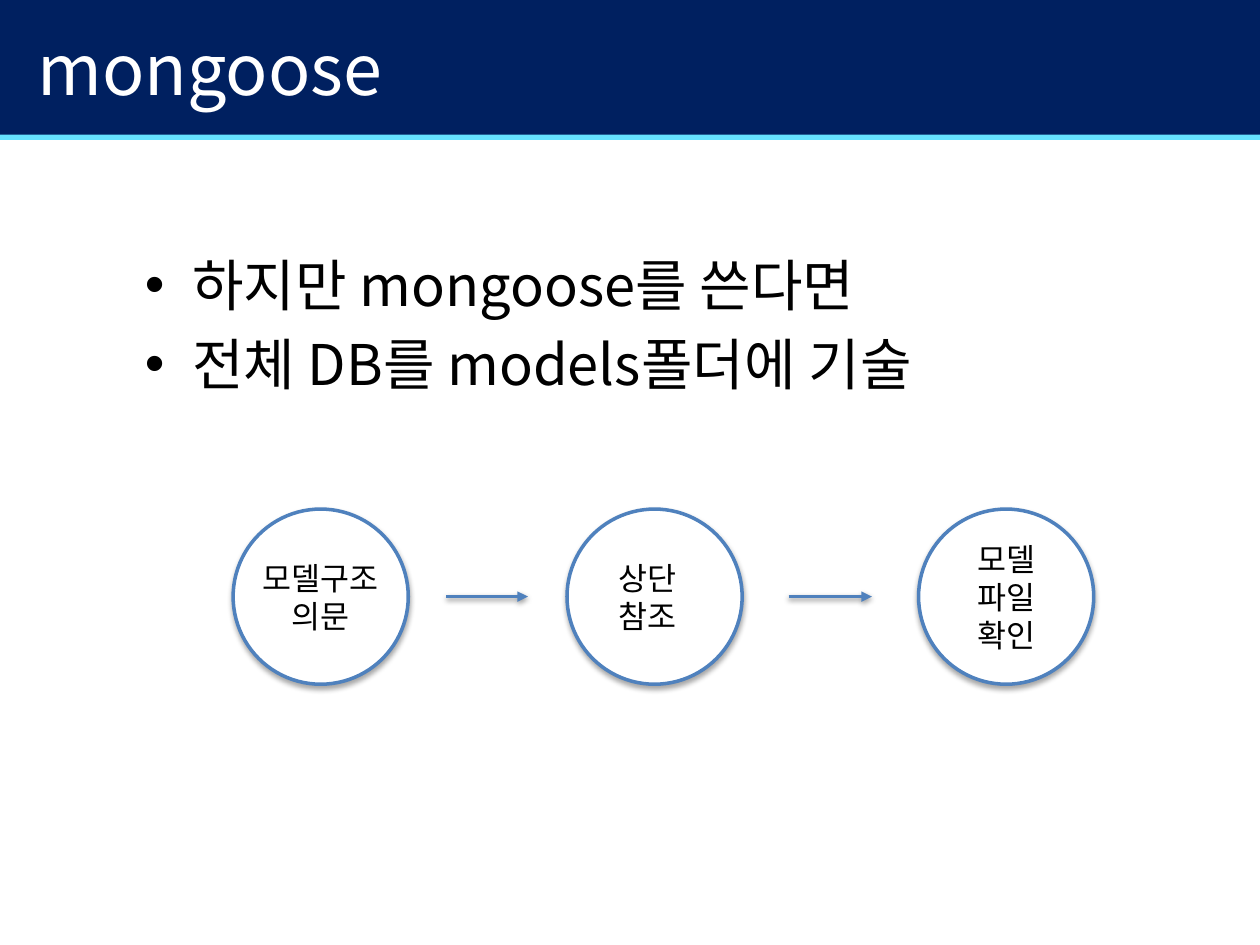
from dataclasses import dataclass

from lxml.etree import SubElement
from pptx import Presentation
from pptx.dml.color import RGBColor
from pptx.enum.shapes import MSO_CONNECTOR as Connector, MSO_SHAPE as Shape
from pptx.enum.text import MSO_ANCHOR as Anchor, MSO_AUTO_SIZE as AutoSize, PP_ALIGN as Align
from pptx.oxml.ns import qn
from pptx.util import Inches, Pt

FONT = "Noto Sans CJK KR"
NAVY, CYAN, BLUE, WHITE, BLACK = "002060", "65E2FF", "4F81BD", "FFFFFF", "000000"
COLUMNS, ROWS = 10, 7.5
WIDTH, HEIGHT = Inches(10), Inches(7.5)
DIAMETER, CIRCLE_TOP = 1.39, 4.04
MIDDLE = CIRCLE_TOP + DIAMETER / 2
INSET = 0.05


@dataclass(frozen=True)
class Box:
    column: float
    row: float
    columns: float
    rows: float

    def lengths(self) -> tuple[int, int, int, int]:
        return (across(self.column), down(self.row),
                across(self.columns), down(self.rows))


@dataclass(frozen=True)
class Band:
    box: Box
    colour: str


@dataclass(frozen=True)
class Label:
    box: Box
    lines: tuple[str, ...]
    align: Align


@dataclass(frozen=True)
class Arrow:
    start: float
    end: float


BANDS = (
    Band(Box(-0.01, 1.06, 10.01, 0.05), CYAN),
    Band(Box(-0.01, 0, 10.01, 1.07), NAVY),
)
CIRCLE_COLUMNS = (1.85, 4.5, 7.29)
LABELS = (
    Label(Box(2.02, 4.39, 1.05, 0.68), ("모델구조", "의문"), Align.CENTER),
    Label(Box(4.86, 4.39, 0.62, 0.68), ("상단", "참조"), Align.LEFT),
)
ARROWS = (Arrow(3.54, 4.19), Arrow(6.26, 6.92))


def across(columns: float) -> int:
    return round(WIDTH * columns / COLUMNS)


def down(rows: float) -> int:
    return round(HEIGHT * rows / ROWS)


def rgb(colour: str) -> RGBColor:
    return RGBColor.from_string(colour)


def place(shape, box: Box) -> None:
    shape.left, shape.top, shape.width, shape.height = box.lengths()


def write(frame, lines: tuple[str, ...], *, size: float, colour: str = BLACK,
          align: Align = Align.LEFT, anchor: Anchor = Anchor.TOP,
          wrap: bool = True, inset: float | None = None,
          auto_size: AutoSize = AutoSize.NONE) -> None:
    frame.auto_size = auto_size
    frame.word_wrap = wrap
    frame.vertical_anchor = anchor
    if inset is not None:
        frame.margin_left = frame.margin_right = Inches(inset)
        frame.margin_top = frame.margin_bottom = Inches(inset)
    for index, line in enumerate(lines):
        paragraph = frame.add_paragraph() if index else frame.paragraphs[0]
        paragraph.alignment = align
        run = paragraph.add_run()
        run.text = line
        run.font.size = Pt(size)
        run.font.name = FONT
        run.font.color.rgb = rgb(colour)
        SubElement(run.font._element, qn("a:ea"), typeface=FONT)


def add_shadow(shape, distance: float, opacity: int) -> None:
    effects = SubElement(shape._element.spPr, qn("a:effectLst"))
    shadow = SubElement(effects, qn("a:outerShdw"), blurRad=str(Pt(3)),
                        dist=str(Pt(distance)), dir="5400000", rotWithShape="0")
    tint = SubElement(shadow, qn("a:srgbClr"), val=BLACK)
    SubElement(tint, qn("a:alpha"), val=str(opacity * 1000))


def add_band(slide, band: Band, depth: int) -> None:
    shape = slide.shapes.add_shape(Shape.RECTANGLE, *band.box.lengths())
    shape.shadow.inherit = False
    shape.fill.solid()
    shape.fill.fore_color.rgb = rgb(band.colour)
    shape.line.fill.background()
    slide.shapes._spTree.insert(2 + depth, shape._element)


def add_circle(slide, column: float):
    box = Box(column, CIRCLE_TOP, DIAMETER, DIAMETER)
    shape = slide.shapes.add_shape(Shape.OVAL, *box.lengths())
    shape.fill.solid()
    shape.fill.fore_color.rgb = rgb(WHITE)
    shape.line.color.rgb = rgb(BLUE)
    shape.line.width = Pt(2)
    add_shadow(shape, 1.8, 35)
    return shape


def add_arrow(slide, arrow: Arrow) -> None:
    connector = slide.shapes.add_connector(
        Connector.STRAIGHT, across(arrow.start), down(MIDDLE),
        across(arrow.end), down(MIDDLE))
    connector.line.color.rgb = rgb(BLUE)
    connector.line.width = Pt(2)
    outline = connector._element.spPr.find(qn("a:ln"))
    SubElement(outline, qn("a:tailEnd"), type="triangle")
    add_shadow(connector, 1.6, 38)


def add_label(slide, label: Label) -> None:
    shape = slide.shapes.add_textbox(*label.box.lengths())
    write(shape.text_frame, label.lines, size=18, align=label.align, wrap=False,
          inset=INSET, auto_size=AutoSize.SHAPE_TO_FIT_TEXT)


def main() -> None:
    presentation = Presentation()
    presentation.slide_width, presentation.slide_height = WIDTH, HEIGHT
    slide = presentation.slides.add_slide(presentation.slide_layouts[1])

    for depth, band in enumerate(BANDS):
        add_band(slide, band, depth)

    title, body = slide.shapes.title, slide.placeholders[1]
    place(title, Box(0.2, -0.09, 9, 1.25))
    write(title.text_frame, ("mongoose",), size=40, colour=WHITE, anchor=Anchor.MIDDLE)
    place(body, Box(1.05, 1.94, 7.9, 4.41))
    write(body.text_frame, ("하지만 mongoose를 쓴다면", "전체 DB를 models폴더에 기술"), size=32)

    circles = [add_circle(slide, column) for column in CIRCLE_COLUMNS]
    write(circles[-1].text_frame, ("모델 파일 확인",), size=18, align=Align.CENTER,
          anchor=Anchor.MIDDLE, inset=INSET)
    for arrow in ARROWS:
        add_arrow(slide, arrow)
    for label in LABELS:
        add_label(slide, label)

    presentation.save("out.pptx")


if __name__ == "__main__":
    main()
